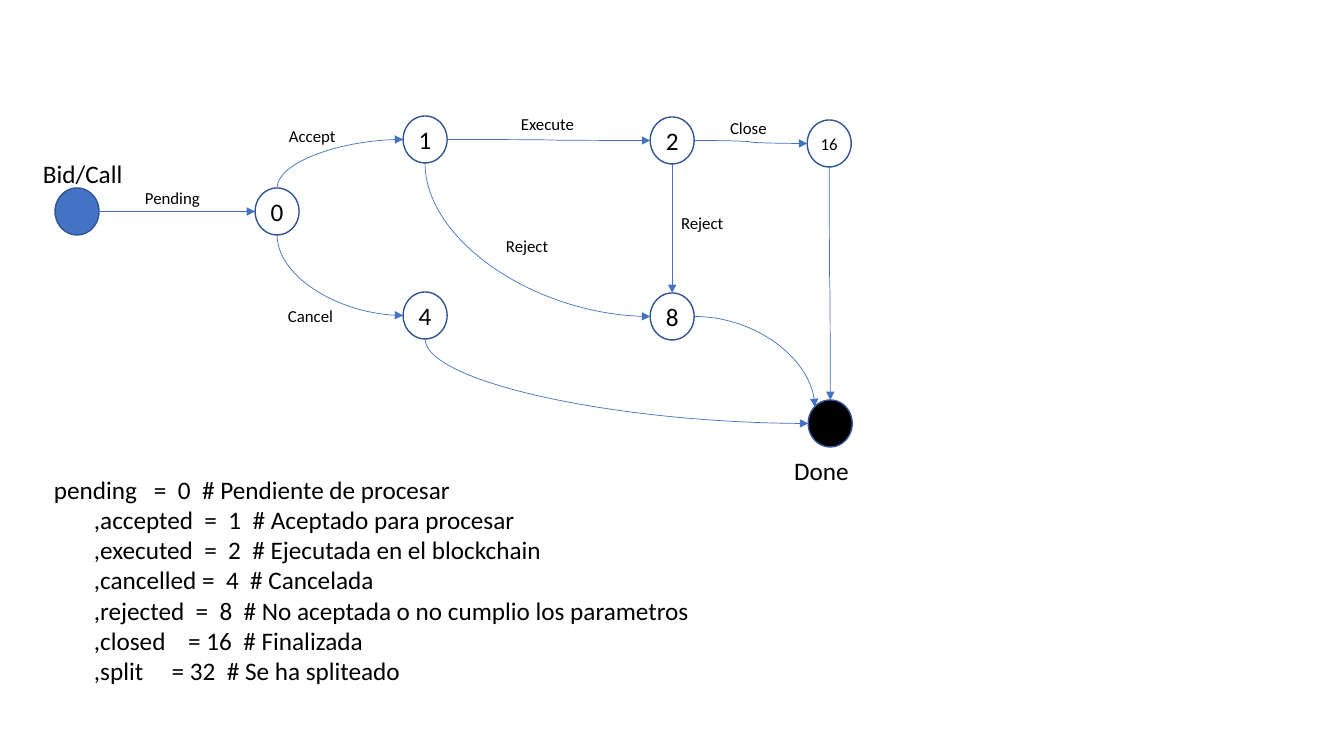
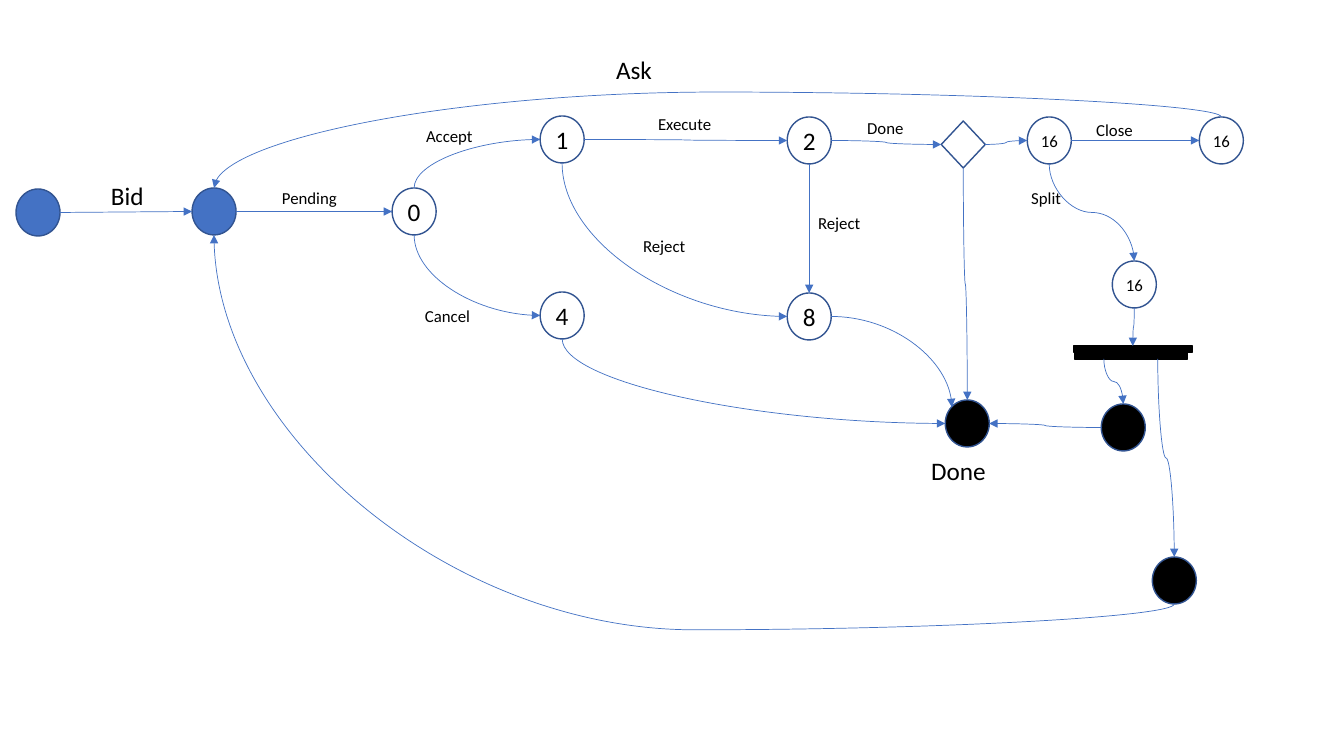
from dataclasses import dataclass

from lxml.etree import SubElement
from pptx import Presentation
from pptx.dml.color import RGBColor
from pptx.enum.shapes import MSO_CONNECTOR as LINK, MSO_SHAPE as SHAPE
from pptx.enum.text import MSO_ANCHOR as ANCHOR, PP_ALIGN as ALIGN
from pptx.oxml.ns import qn
from pptx.util import Emu, Inches, Pt


@dataclass(frozen=True)
class Theme:
    font: str = "Calibri"
    blue: RGBColor = RGBColor(0x44, 0x72, 0xC4)
    outline: RGBColor = RGBColor(0x32, 0x54, 0x91)
    black: RGBColor = RGBColor(0, 0, 0)
    large: int = 18
    small: int = 12
    outline_width: float = 1
    arrow_width: float = 0.5


THEME = Theme()
PIXELS_PER_INCH = 100.8
CIRCLE = (44, 47)
INSET = 4

# Content: nodes are name: (kind, left, top, caption)
CORE_NODES = {
    "call": ("start", 55, 188, ""),
    "pending": ("state", 255, 188, "0"),
    "accepted": ("state", 403, 116, "1"),
    "executed": ("state", 650, 117, "2"),
    "cancelled": ("state", 403, 292, "4"),
    "rejected": ("state", 650, 293, "8"),
    "done": ("end", 808, 400, ""),
}
CALL_NODES = {"closed": ("state", 807, 120, "16")}
SPLIT_NODES = {
    "bid": ("start", 16, 189, ""),
    "decision": ("choice", 941, 121, ""),
    "matched": ("state", 1027, 117, "16"),
    "closed": ("state", 1199, 117, "16"),
    "split": ("state", 1112, 261, "16"),
    "fork left": ("half bar", 1074, 353, ""),
    "fork right": ("half bar", 1128, 353, ""),
    "fork": ("bar", 1073, 346, ""),
    "part done": ("end", 1101, 404, ""),
    "part open": ("end", 1152, 557, ""),
}

# Arrows: from node, side, to node, side, row that a loop bends through
CORE_ARROWS = [
    ("call", "right", "pending", "left", None),
    ("pending", "top", "accepted", "left", None),
    ("pending", "bottom", "cancelled", "left", None),
    ("accepted", "right", "executed", "left", None),
    ("accepted", "bottom", "rejected", "left", None),
    ("executed", "bottom", "rejected", "top", None),
    ("cancelled", "bottom", "done", "left", None),
    ("rejected", "right", "done", "corner", None),
]
CALL_ARROWS = [
    ("executed", "right", "closed", "left", None),
    ("closed", "bottom", "done", "top", None),
]
SPLIT_ARROWS = [
    ("bid", "right", "call", "left", None),
    ("executed", "right", "decision", "left", None),
    ("decision", "right", "matched", "left", None),
    ("decision", "bottom", "done", "top", None),
    ("matched", "right", "closed", "left", None),
    ("matched", "bottom", "split", "top", None),
    ("split", "bottom", "fork", "top", None),
    ("fork left", "bottom", "part done", "top", None),
    ("fork right", "bottom", "part open", "top", None),
    ("part done", "left", "done", "right", None),
    ("closed", "top", "call", "top", 92),
    ("part open", "bottom", "call", "bottom", 630),
]
STRAIGHT = {("call", "pending"), ("bid", "call")}

# Labels: wording, left, top, type size
CORE_LABELS = [
    ("Pending", 135, 183, THEME.small),
    ("Accept", 279, 121, THEME.small),
    ("Execute", 511, 109, THEME.small),
    ("Cancel", 278, 301, THEME.small),
    ("Reject", 496, 231, THEME.small),
    ("Reject", 671, 208, THEME.small),
    ("Done", 784, 450, THEME.large),
]
CALL_LABELS = [
    ("Bid/Call", 33, 153, THEME.large),
    ("Close", 720, 113, THEME.small),
]
SPLIT_LABELS = [
    ("Bid", 101, 175, THEME.large),
    ("Ask", 606, 49, THEME.large),
    ("Done", 857, 113, THEME.small),
    ("Close", 1086, 115, THEME.small),
    ("Split", 1021, 183, THEME.small),
]
STATUS_LINES = [
    "pending   =  0  # Pendiente de procesar",
    ",accepted  =  1  # Aceptado para procesar",
    ",executed  =  2  # Ejecutada en el blockchain",
    ",cancelled =  4  # Cancelada",
    ",rejected  =  8  # No aceptada o no cumplio los parametros",
    ",closed    = 16  # Finalizada",
    ",split     = 32  # Se ha spliteado",
]
STATUS_BOX = (38, 469, 1055, 224)
STATUS_INDENTS = (6, 46)  # first line, then the rest
SPLIT_SHIFT = 137  # the core of the diagram moves right on the second slide

# Kind: preset shape, size, fill, outline
KINDS = {
    "start": (SHAPE.OVAL, CIRCLE, THEME.blue, THEME.outline),
    "state": (SHAPE.OVAL, CIRCLE, None, THEME.outline),
    "end": (SHAPE.OVAL, CIRCLE, THEME.black, THEME.outline),
    "choice": (SHAPE.DIAMOND, (44, 47), None, THEME.outline),
    "bar": (SHAPE.RECTANGLE, (119, 6), THEME.black, THEME.black),
    "half bar": (SHAPE.RECTANGLE, (59, 6), THEME.black, THEME.black),
}
# Side: horizontal and vertical share of the box, site on an oval, site elsewhere
SIDES = {
    "top": (0.5, 0, 0, 0),
    "left": (0, 0.5, 2, 1),
    "bottom": (0.5, 1, 4, 2),
    "right": (1, 0.5, 6, 3),
    "corner": (0.15, 0.15, 1, 0),
}


def px(length):
    return Emu(round(length * Inches(1) / PIXELS_PER_INCH))


def write(para, wording, size):
    run = para.add_run()
    run.text = wording
    run.font.name = THEME.font
    run.font.size = Pt(size)
    run.font.color.rgb = THEME.black


def add_node(page, kind, left, top, caption):
    preset, (width, height), fill, outline = KINDS[kind]
    node = page.shapes.add_shape(preset, px(left), px(top), px(width), px(height))
    node.shadow.inherit = False
    if fill is None:
        node.fill.background()
    else:
        node.fill.solid()
        node.fill.fore_color.rgb = fill
    node.line.color.rgb = outline
    node.line.width = Pt(THEME.outline_width)
    if caption:
        frame = node.text_frame
        frame.margin_left = frame.margin_right = px(INSET)
        frame.vertical_anchor = ANCHOR.MIDDLE
        para = frame.paragraphs[0]
        para.alignment = ALIGN.CENTER
        write(para, caption, THEME.large if len(caption) == 1 else THEME.small)
    return node


def add_text_box(page, left, top, width, height):
    box = page.shapes.add_textbox(px(left), px(top), px(width), px(height))
    box.text_frame.word_wrap = True
    return box.text_frame


def add_label(page, wording, left, top, size):
    height = 40 if size == THEME.large else 30
    frame = add_text_box(page, left, top, 110, height)
    write(frame.paragraphs[0], wording, size)


def side_point(node, side):
    across, down = SIDES[side][:2]
    return round(node.left + across * node.width), round(node.top + down * node.height)


def bend(arrow, start, end, upright, turns, loop_row):
    """Shape a curve that leaves upright or level and turns once or twice."""
    (x0, y0), (x1, y1) = start, end
    width, height = abs(x1 - x0), abs(y1 - y0)
    properties = arrow._element.spPr
    geometry = properties.find(qn("a:prstGeom"))
    geometry.set("prst", f"curvedConnector{turns + 1}")
    if upright:
        # A quarter turn about the centre swaps width and height
        arrow.left = Emu((x0 + x1 - height) // 2)
        arrow.top = Emu((y0 + y1 - width) // 2)
        arrow.width, arrow.height = Emu(height), Emu(width)
        forward = x1 > x0 and y1 > y0
        frame = properties.xfrm
        frame.rot = 270 if forward else 90
        frame.flipH = forward or y1 < y0
        frame.flipV = x1 > x0 and not forward
    if loop_row is not None:
        share = (px(loop_row) - y0) / (y1 - y0)
        SubElement(geometry.find(qn("a:avLst")), qn("a:gd"),
                   name="adj1", fmla=f"val {round(share * 100000)}")


def add_arrow(page, nodes, source, leave, target, arrive, loop_row):
    start = side_point(nodes[source], leave)
    end = side_point(nodes[target], arrive)
    straight = (source, target) in STRAIGHT
    kind = LINK.STRAIGHT if straight else LINK.CURVE
    arrow = page.shapes.add_connector(kind, *start, *end)
    if not straight:
        upright = leave in ("top", "bottom")
        arrives_upright = arrive in ("top", "bottom", "corner")
        bend(arrow, start, end, upright, 2 if upright == arrives_upright else 1, loop_row)
    arrow.line.color.rgb = THEME.blue
    arrow.line.width = Pt(THEME.arrow_width)
    SubElement(arrow.line._get_or_add_ln(), qn("a:tailEnd"), type="triangle")
    SubElement(arrow._element.spPr, qn("a:effectLst"))

    # Attach both ends to their nodes
    holder = arrow._element.find(".//" + qn("p:cNvCxnSpPr"))
    for tag, name, side in (("a:stCxn", source, leave), ("a:endCxn", target, arrive)):
        node = nodes[name]
        site = SIDES[side][2 if node.auto_shape_type == SHAPE.OVAL else 3]
        SubElement(holder, qn(tag), id=str(node.shape_id), idx=str(site))


def add_diagram(page, shift, extra_nodes, extra_arrows, extra_labels):
    nodes = {}
    for group, offset in ((CORE_NODES, shift), (extra_nodes, 0)):
        for name, (kind, left, top, caption) in group.items():
            nodes[name] = add_node(page, kind, left + offset, top, caption)
    for arrow in CORE_ARROWS + extra_arrows:
        add_arrow(page, nodes, *arrow)
    for group, offset in ((CORE_LABELS, shift), (extra_labels, 0)):
        for wording, left, top, size in group:
            add_label(page, wording, left + offset, top, size)


def add_status_list(page):
    frame = add_text_box(page, *STATUS_BOX)
    for row, wording in enumerate(STATUS_LINES):
        para = frame.add_paragraph() if row else frame.paragraphs[0]
        indent = STATUS_INDENTS[min(row, 1)]
        para._p.get_or_add_pPr().set("marL", str(px(indent)))
        write(para, wording, THEME.large)


# Build the deck
deck = Presentation()
deck.slide_width, deck.slide_height = Inches(13.33), Inches(7.5)
blank = deck.slide_layouts[6]

call_page = deck.slides.add_slide(blank)
add_diagram(call_page, 0, CALL_NODES, CALL_ARROWS, CALL_LABELS)
add_status_list(call_page)

split_page = deck.slides.add_slide(blank)
add_diagram(split_page, SPLIT_SHIFT, SPLIT_NODES, SPLIT_ARROWS, SPLIT_LABELS)

deck.save("out.pptx")
